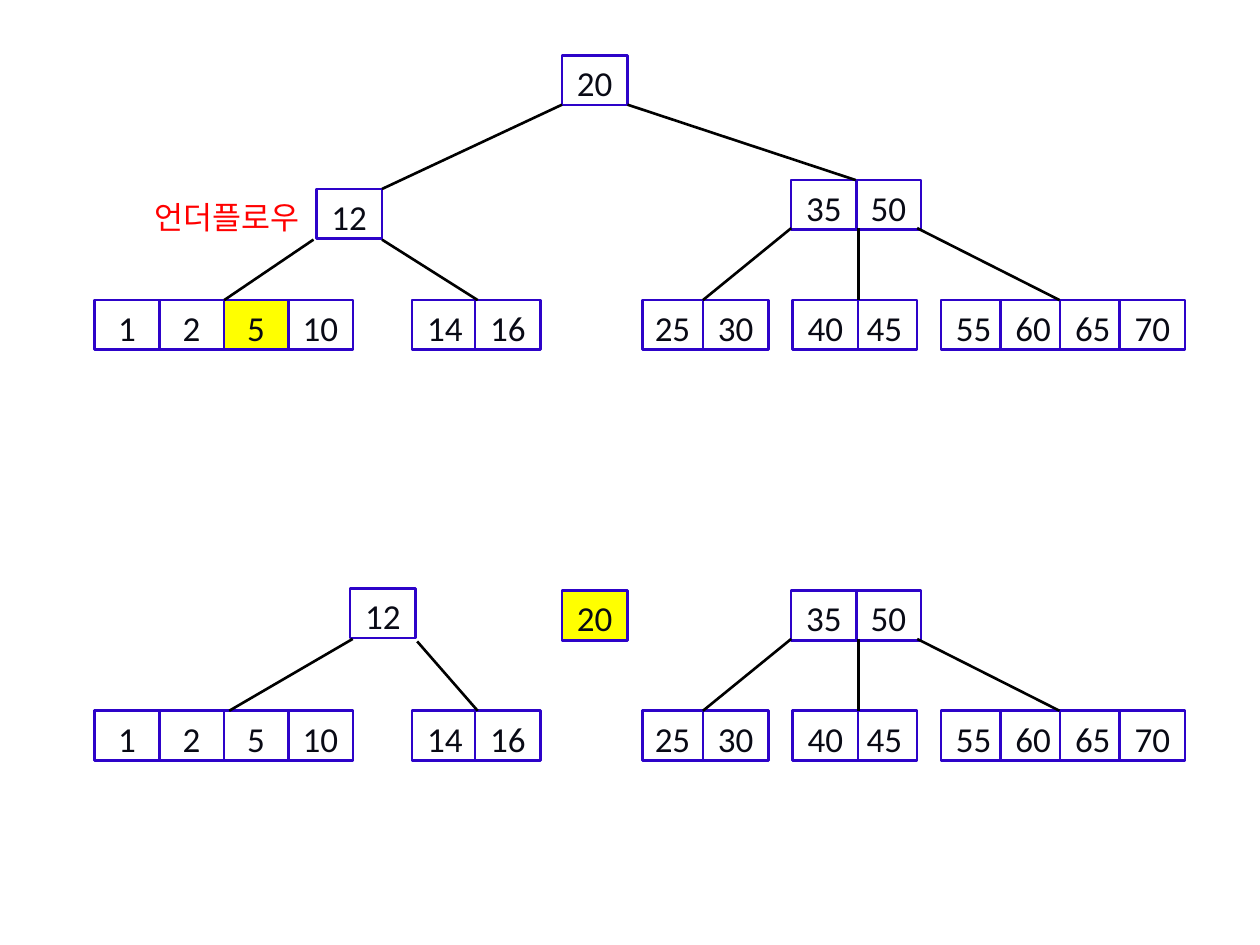
"""Build a slide showing a B-tree underflow, before and after the root key moves."""
import pptx
import pptx.dml.color
import pptx.enum.shapes
import pptx.enum.text
import pptx.oxml
import pptx.util

Cm = pptx.util.Cm
Pt = pptx.util.Pt
ALIGN = pptx.enum.text.PP_ALIGN

WHITE = pptx.dml.color.RGBColor(0xFF, 0xFF, 0xFF)
YELLOW = pptx.dml.color.RGBColor(0xFF, 0xFF, 0x00)
RED = pptx.dml.color.RGBColor(0xFF, 0x00, 0x00)
BLACK = pptx.dml.color.RGBColor(0x00, 0x00, 0x00)
INK = pptx.dml.color.RGBColor(0x09, 0x0A, 0x15)
VIOLET = pptx.dml.color.RGBColor(0x2D, 0x03, 0xC9)

FONT = "Calibri"
CELL_WIDTH, CELL_HEIGHT = 1.32, 1.0
LEAF_TOP, PARENT_TOP, EDGE_TOP = 6.05, 3.63, 4.6

# Each node: left of its first drawn key, top, step to the next key, keys.
SHARED_NODES = [
    (5.8, LEAF_TOP, -1.3, ["10", "5", "2", "1"]),
    (8.31, LEAF_TOP, 1.27, ["14", "16"]),
    (12.95, LEAF_TOP, 1.22, ["25", "30"]),
    (17.17, LEAF_TOP, -1.19, ["45", "40"]),
    (18.97, LEAF_TOP, 1.2, ["55", "60", "65", "70"]),
    (17.25, PARENT_TOP, -1.3, ["50", "35"]),
]
SHARED_EDGES = [
    (15.95, EDGE_TOP, 14.17, LEAF_TOP),
    (17.3, EDGE_TOP, 17.3, LEAF_TOP),
    (18.49, EDGE_TOP, 21.36, LEAF_TOP),
]
TREES = [
    {
        "offset": 0,
        "highlight": "5",
        "nodes": [(11.33, 1.12, 0, ["20"]), (6.38, 3.81, 0, ["12"])],
        "edges": [
            (7.7, 4.83, 9.63, LEAF_TOP),
            (6.32, 4.83, 4.52, LEAF_TOP),
            (12.65, 2.11, 17.25, PARENT_TOP),
            (11.33, 2.11, 7.7, 3.81),
        ],
    },
    {
        "offset": 8.28,
        "highlight": "20",
        "nodes": [(11.33, PARENT_TOP, 0, ["20"]), (7.06, 3.58, 0, ["12"])],
        "edges": [
            (8.41, 4.65, 9.63, LEAF_TOP),
            (7.11, EDGE_TOP, 4.62, LEAF_TOP),
        ],
    },
]
LABEL = ("언더플로우", 2.64, 3.86, 3.89, 1.02)


def write(box, text, size, color, align):
    frame = box.text_frame
    frame.word_wrap = True
    frame.vertical_anchor = pptx.enum.text.MSO_ANCHOR.TOP
    para = frame.paragraphs[0]
    para.alignment = align
    span = para.add_run()
    span.text = text
    span.font.name = FONT
    span.font.size = Pt(size)
    span.font.color.rgb = color


def add_key(page, key, left, top, fill):
    box = page.shapes.add_shape(
        pptx.enum.shapes.MSO_SHAPE.RECTANGLE,
        Cm(left), Cm(top), Cm(CELL_WIDTH), Cm(CELL_HEIGHT))
    box.shadow.inherit = False
    box.fill.solid()
    box.fill.fore_color.rgb = fill
    box.line.color.rgb = VIOLET
    box.line.width = Pt(1.5)
    write(box, key, 20, INK, ALIGN.LEFT if key == "25" else ALIGN.CENTER)


def add_edge(page, x1, y1, x2, y2):
    edge = page.shapes.add_connector(
        pptx.enum.shapes.MSO_CONNECTOR.STRAIGHT, Cm(x1), Cm(y1), Cm(x2), Cm(y2))
    edge.line.color.rgb = BLACK
    edge.line.width = Pt(1.5)
    properties = edge._element.spPr
    properties.append(properties.makeelement(pptx.oxml.ns.qn("a:effectLst"), {}))


def add_tree(page, tree):
    offset = tree["offset"]
    for left, top, step, keys in SHARED_NODES + tree["nodes"]:
        for index, key in enumerate(keys):
            fill = YELLOW if key == tree["highlight"] else WHITE
            add_key(page, key, left + index * step, top + offset, fill)
    for x1, y1, x2, y2 in SHARED_EDGES + tree["edges"]:
        add_edge(page, x1, y1 + offset, x2, y2 + offset)


def main():
    deck = pptx.Presentation()
    deck.slide_width, deck.slide_height = Cm(25.4), Cm(19.05)
    page = deck.slides.add_slide(deck.slide_layouts[6])
    for tree in TREES:
        add_tree(page, tree)
    text, *place = LABEL
    label = page.shapes.add_textbox(*map(Cm, place))
    write(label, text, 18, RED, ALIGN.CENTER)
    deck.save("out.pptx")


if __name__ == "__main__":
    main()
